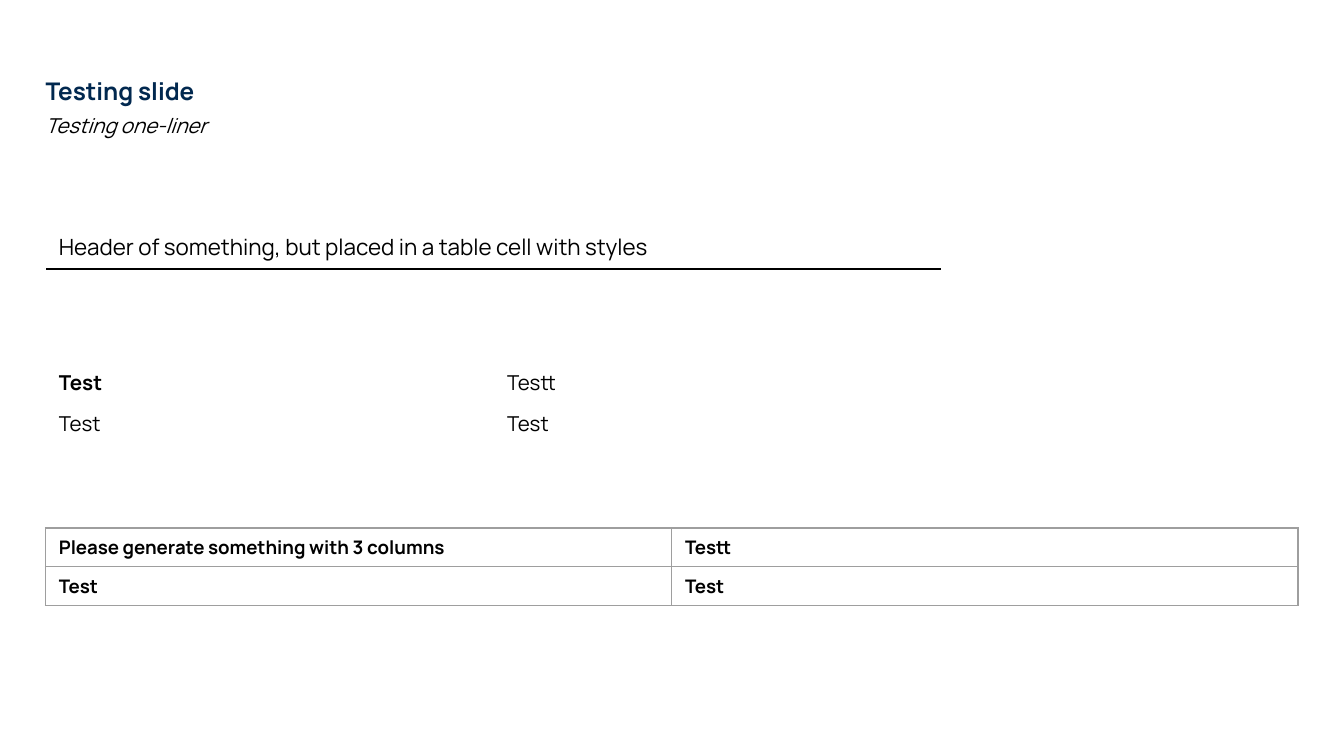
from lxml.etree import SubElement
from pptx import Presentation
from pptx.dml.color import RGBColor
from pptx.enum.text import MSO_ANCHOR, MSO_AUTO_SIZE, PP_ALIGN
from pptx.oxml.ns import qn
from pptx.util import Cm, Pt

NAVY = RGBColor(0x01, 0x28, 0x4F)
BLACK = RGBColor(0x00, 0x00, 0x00)
GRAY = RGBColor(0x9E, 0x9E, 0x9E)
FONT = "Manrope"
LEFT = Cm(0.86)
FULL_WIDTH = Cm(23.67)
NARROW_WIDTH = Cm(16.94)
HEADING_HEIGHT = Cm(1.12)
ALL_SIDES = ("L", "R", "T", "B")


def write_text(text_frame, text, size, color=BLACK, bold=False, italic=False):
    paragraph = text_frame.paragraphs[0]
    paragraph.alignment = PP_ALIGN.LEFT
    run = paragraph.add_run()
    run.text = text
    formats = {"name": FONT, "size": Pt(size), "bold": bold, "italic": italic}
    for name, value in formats.items():
        setattr(run.font, name, value)
    run.font.color.rgb = color


def place_heading(shape, box, text, **style):
    for name, value in zip(("left", "top", "width", "height"), box):
        setattr(shape, name, value)
    frame_formats = {
        "margin_left": 0,
        "margin_right": 0,
        "margin_top": Cm(0.25),
        "margin_bottom": Cm(0.25),
        "word_wrap": True,
        "auto_size": MSO_AUTO_SIZE.NONE,
        "vertical_anchor": MSO_ANCHOR.TOP,
    }
    for name, value in frame_formats.items():
        setattr(shape.text_frame, name, value)
    write_text(shape.text_frame, text, **style)


def add_headings(slide, left, top, width):
    place_heading(slide.shapes.title, (left, top, width, HEADING_HEIGHT),
                  "Testing slide", size=13, color=NAVY, bold=True)
    box = (left, top + Cm(0.69), width, HEADING_HEIGHT)
    place_heading(slide.shapes.add_textbox(*box), box,
                  "Testing one-liner", size=11, italic=True)


def set_borders(cell, sides, color, width):
    properties = cell._tc.get_or_add_tcPr()
    for side in sides:
        line = SubElement(properties, qn(f"a:ln{side}"), w=str(Pt(width)))
        fill = SubElement(line, qn("a:solidFill"))
        SubElement(fill, qn("a:srgbClr"), val=str(color))


def add_grid(slide, left, top, width, row_height, texts, size, bold_cells=(),
             sides=(), line_color=BLACK, line_width=1, anchor=MSO_ANCHOR.TOP):
    rows, columns = len(texts), len(texts[0])
    table = slide.shapes.add_table(rows, columns, left, top, width,
                                   row_height * rows).table
    table.first_row = False
    table.horz_banding = False
    for row, row_texts in enumerate(texts):
        for column, text in enumerate(row_texts):
            cell = table.cell(row, column)
            set_borders(cell, sides, line_color, line_width)
            cell.fill.background()
            cell.vertical_anchor = anchor
            write_text(cell.text_frame, text, size,
                       bold=(row, column) in bold_cells)


def main():
    presentation = Presentation()
    presentation.slide_width = Cm(25.4)
    presentation.slide_height = Cm(14.29)
    slide = presentation.slides.add_slide(presentation.slide_layouts[5])

    add_headings(slide, LEFT, Cm(1.19), FULL_WIDTH)
    add_grid(slide, LEFT, Cm(6.83), NARROW_WIDTH, Cm(0.72),
             [["Test", "Testt"], ["Test", "Test"]], 11, bold_cells={(0, 0)})
    add_grid(slide, LEFT, Cm(9.98), FULL_WIDTH, Cm(0.72),
             [["Please generate something with 3 columns", "Testt"],
              ["Test", "Test"]], 10,
             bold_cells={(0, 0), (0, 1), (1, 0), (1, 1)},
             sides=ALL_SIDES, line_color=GRAY, line_width=0.75)
    add_grid(slide, LEFT, Cm(4.04), NARROW_WIDTH, Cm(1.04),
             [["Header of something, but placed in a table cell with styles"]],
             12, sides=("B",), anchor=MSO_ANCHOR.BOTTOM)

    presentation.save("out.pptx")


if __name__ == "__main__":
    main()
